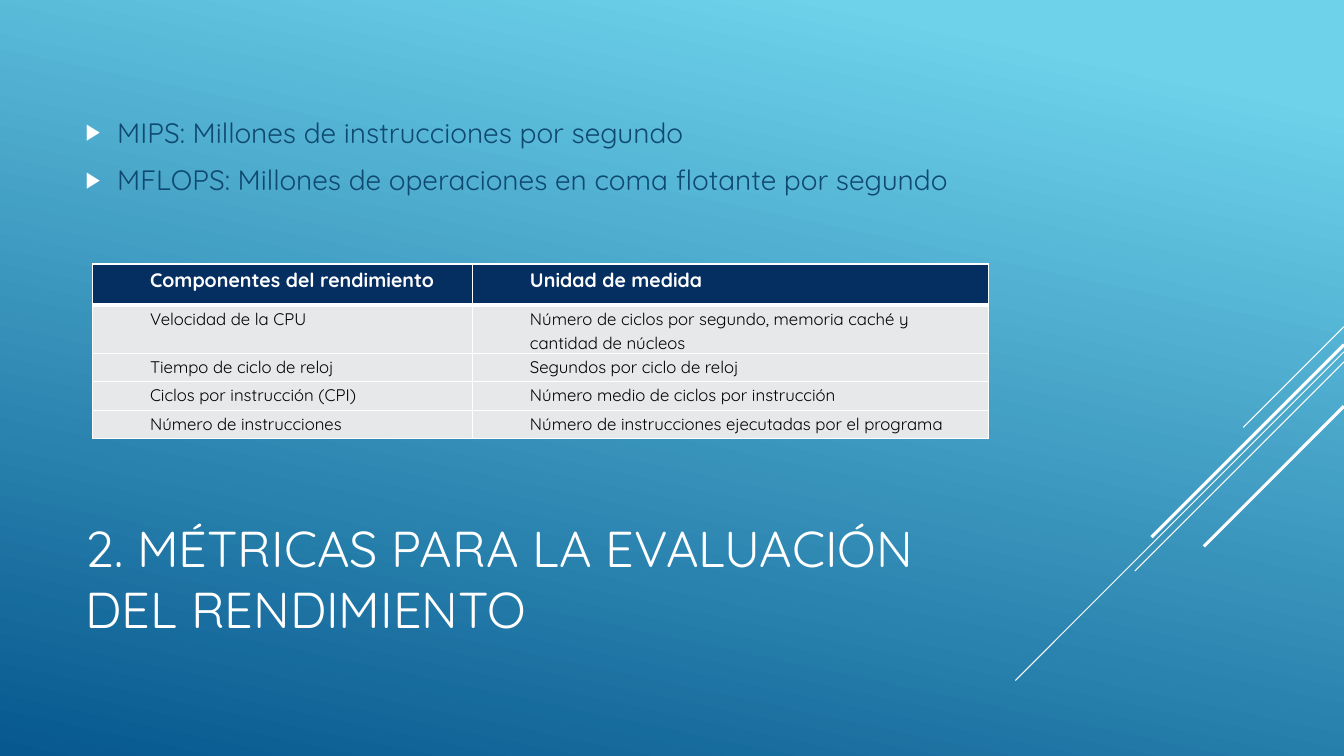
from lxml.etree import SubElement
from pptx import Presentation
from pptx.dml.color import RGBColor as RGB
from pptx.enum.shapes import MSO_CONNECTOR as CONN
from pptx.enum.text import MSO_ANCHOR as ANCHOR, MSO_AUTO_SIZE as AUTO, PP_ALIGN as ALIGN
from pptx.oxml import parse_xml
from pptx.oxml.ns import nsdecls, qn
from pptx.util import Pt

FONT = "Quicksand"
COLORS = {
    "sky": "6ED2EB", "deep": "06588E", "white": "FFFFFF", "body": "0F496F",
    "header": "052F61", "cell": "E7E8EA", "black": "000000",
}
TITLE = "2. MÉTRICAS PARA LA EVALUACIÓN DEL RENDIMIENTO"
BULLETS = [
    "MIPS: Millones de instrucciones por segundo",
    "MFLOPS: Millones de operaciones en coma flotante por segundo",
]
ROWS = [
    ("Componentes del rendimiento", "Unidad de medida"),
    ("Velocidad de la CPU", "Número de ciclos por segundo, memoria caché y cantidad de núcleos"),
    ("Tiempo de ciclo de reloj", "Segundos por ciclo de reloj"),
    ("Ciclos por instrucción (CPI)", "Número medio de ciclos por instrucción"),
    ("Número de instrucciones", "Número de instrucciones ejecutadas por el programa"),
]
COL_WIDTHS = [271.4, 368.6]
ROW_HEIGHTS = [29.5, 30.2, 20.2, 20.2, 20.2]
WIDTH, HEIGHT = 960, 540
RAYS = [
    (233.3, 72, 0.75), (251.3, 234.7, 0.75), (258.5, 149.4, 0.75),
    (246.2, 137.5, 2.25), (290.2, 100.1, 2.25),
]


def color(name):
    return RGB.from_string(COLORS[name])


def add_run(p, text, size, name, bold=False):
    r = p.add_run()
    r.text = text
    r.font.name, r.font.size, r.font.bold = FONT, Pt(size), bold
    r.font.color.rgb = color(name)


def place(sp, left, top, width, height):
    sp.left, sp.top, sp.width, sp.height = map(Pt, (left, top, width, height))
    tf = sp.text_frame
    tf.word_wrap, tf.auto_size, tf.vertical_anchor = True, AUTO.NONE, ANCHOR.MIDDLE
    return tf


def add_bullet(p):
    pPr = p._p.get_or_add_pPr()
    pPr.set("marL", str(Pt(22.5)))
    pPr.set("indent", str(Pt(-22.5)))
    clr = SubElement(pPr, qn("a:buClr"))
    SubElement(clr, qn("a:srgbClr"), val=COLORS["white"])
    SubElement(pPr, qn("a:buSzPct"), val="80000")
    SubElement(pPr, qn("a:buFont"), typeface="Arial")
    SubElement(pPr, qn("a:buChar"), char="▶")


def add_borders(cell, top, bottom):
    tcPr = cell._tc.get_or_add_tcPr()
    sides = [("L", 1), ("R", 1), ("T", top), ("B", bottom)]
    for i, (side, width) in enumerate(sides):
        tcPr.insert(i, parse_xml(
            f'<a:ln{side} {nsdecls("a")} w="{Pt(width)}"><a:solidFill>'
            f'<a:srgbClr val="{COLORS["white"]}"/></a:solidFill></a:ln{side}>'))


def fill_cell(cell, text, row):
    head = row == 0
    cell.fill.solid()
    cell.fill.fore_color.rgb = color("header" if head else "cell")
    cell.margin_left = cell.margin_right = Pt(5)
    cell.margin_top = cell.margin_bottom = 0
    p = cell.text_frame.paragraphs[0]
    p.line_spacing = 1.15
    p._p.get_or_add_pPr().set("marL", str(Pt(36)))
    add_run(p, text, 14 if head else 12, "white" if head else "black", head)
    add_borders(cell, 3 if row == 1 else 1, 3 if head else 1)


def main():
    prs = Presentation()
    prs.slide_width, prs.slide_height = Pt(WIDTH), Pt(HEIGHT)
    s = prs.slides.add_slide(prs.slide_layouts[1])

    bg = s.background.fill
    bg.gradient()
    bg.gradient_angle = 360 - 102
    for stop, (pos, name) in zip(bg.gradient_stops, [(0.1, "sky"), (1, "deep")]):
        stop.position = pos
        stop.color.rgb = color(name)

    for top, run, weight in RAYS:
        ray = s.shapes.add_connector(
            CONN.STRAIGHT, Pt(WIDTH), Pt(top), Pt(WIDTH - run), Pt(top + run))
        ray.line.color.rgb = color("white")
        ray.line.width = Pt(weight)
        SubElement(ray._element.spPr, qn("a:effectLst"))

    title, body = s.placeholders
    p = place(title, 54, 353.5, 672, 118.8).paragraphs[0]
    p.alignment = ALIGN.LEFT
    add_run(p, TITLE, 36, "white")

    tf = place(body, 54, 54, 672, 114.5)
    for i, text in enumerate(BULLETS):
        p = tf.add_paragraph() if i else tf.paragraphs[0]
        p.space_after = Pt(6)
        add_bullet(p)
        add_run(p, text, 20, "body")

    table = s.shapes.add_table(
        len(ROWS), len(COL_WIDTHS), Pt(66.2), Pt(188.6),
        Pt(sum(COL_WIDTHS)), Pt(sum(ROW_HEIGHTS))).table
    for col, width in zip(table.columns, COL_WIDTHS):
        col.width = Pt(width)
    for i, (height, texts) in enumerate(zip(ROW_HEIGHTS, ROWS)):
        table.rows[i].height = Pt(height)
        for j, text in enumerate(texts):
            fill_cell(table.cell(i, j), text, i)

    prs.save("out.pptx")


if __name__ == "__main__":
    main()
